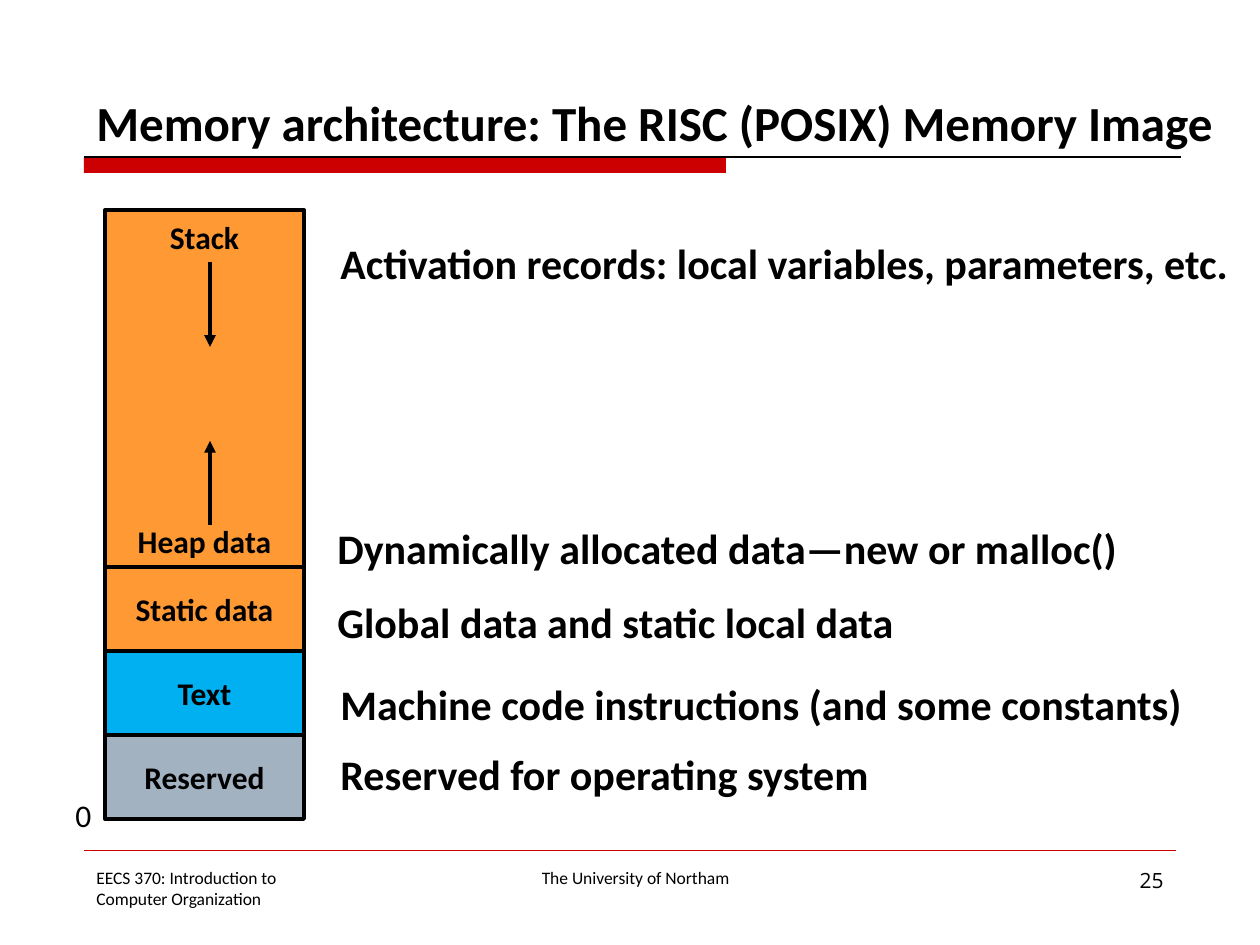
from dataclasses import dataclass

from lxml.etree import SubElement
from pptx import Presentation
from pptx.dml.color import RGBColor
from pptx.enum.shapes import MSO_CONNECTOR, MSO_SHAPE
from pptx.enum.text import MSO_ANCHOR, PP_ALIGN
from pptx.oxml.ns import qn
from pptx.util import Emu, Pt

SCALE = 914400 // 126


@dataclass
class Theme:
    black: str = "000000"
    red: str = "CC0000"
    orange: str = "FF9933"
    blue: str = "00B0F0"
    gray: str = "A3B2C1"
    font: str = "Calibri"
    number_font: str = "Open Sans"
    title: int = 28
    note: int = 24
    label: int = 18
    number: int = 12
    footer: int = 10


class Deck:
    def __init__(self, theme):
        self.theme = theme
        self.prs = Presentation()
        self.prs.slide_width, self.prs.slide_height = self.emu(1260, 945)
        self.s = self.prs.slides.add_slide(self.prs.slide_layouts[6])

    def emu(self, *pixels):
        return [Emu(v * SCALE) for v in pixels]

    def fill_text(self, sp, lines, size, bold=False, align=PP_ALIGN.LEFT,
                  anchor=MSO_ANCHOR.TOP, wrap=True, gap=0, font=None):
        tf = sp.text_frame
        tf.word_wrap, tf.vertical_anchor = wrap, anchor
        values = {"name": font or self.theme.font, "size": Pt(size), "bold": bold}
        for i, line in enumerate(lines):
            p = tf.add_paragraph() if i else tf.paragraphs[0]
            p.text, p.alignment = line, align
            if i:
                p.space_before = Pt(gap)
            for r in p.runs:
                for key, value in values.items():
                    setattr(r.font, key, value)
                r.font.color.rgb = RGBColor.from_string(self.theme.black)

    def text(self, box, line, size, **style):
        self.fill_text(self.s.shapes.add_textbox(*self.emu(*box)), [line], size, **style)

    def rect(self, box, fill, border=None):
        sp = self.s.shapes.add_shape(MSO_SHAPE.RECTANGLE, *self.emu(*box))
        sp.shadow.inherit = False
        sp.fill.solid()
        sp.fill.fore_color.rgb = RGBColor.from_string(fill)
        if border:
            sp.line.color.rgb = RGBColor.from_string(self.theme.black)
            sp.line.width = Pt(border)
        else:
            sp.line.fill.background()
        return sp

    def line(self, ends, color, width, arrow=False):
        cx = self.s.shapes.add_connector(MSO_CONNECTOR.STRAIGHT, *self.emu(*ends))
        cx.line.color.rgb = RGBColor.from_string(color)
        cx.line.width = Pt(width)
        props = cx.element.spPr
        if arrow:
            SubElement(props.find(qn("a:ln")), qn("a:tailEnd"), type="triangle")
        SubElement(props, qn("a:effectLst"))


t = Theme()
d = Deck(t)

# Title and rules
d.rect((84, 157, 642, 16), t.red)
d.line((84, 157, 1181, 157), t.black, 0.75)
d.line((84, 850, 1176, 850), t.red, 0.25)
d.text((84, 32, 1144, 126), "Memory architecture: The RISC (POSIX) Memory Image",
       t.title, bold=True, anchor=MSO_ANCHOR.BOTTOM)

# Memory segments, stacked from the top down
segments = [
    (357, t.orange, ["Stack", "Heap data"]),
    (84, t.orange, ["Static data"]),
    (84, t.blue, ["Text"]),
    (84, t.gray, ["Reserved"]),
]
top = 210
for height, fill, names in segments:
    sp = d.rect((105, top, 199, height), fill, 2.25)
    d.fill_text(sp, names, t.label, bold=True, align=PP_ALIGN.CENTER,
                anchor=MSO_ANCHOR.MIDDLE, wrap=False, gap=152)
    top += height

# Directions of growth
for start, end in [(262, 347), (525, 441)]:
    d.line((210, start, 210, end), t.black, 2.25, arrow=True)

# Explanations
notes = [
    (328, 231, 922, "Activation records: local variables, parameters, etc."),
    (325, 516, 835, "Dynamically allocated data—new or malloc()"),
    (325, 590, 587, "Global data and static local data"),
    (328, 672, 876, "Machine code instructions (and some constants)"),
    (328, 742, 559, "Reserved for operating system"),
]
for left, y, width, note in notes:
    d.text((left, y, width, 63), note, t.note, bold=True, wrap=False)
d.text((63, 790, 42, 55), "0", t.label, wrap=False)

# Footer
d.text((84, 861, 294, 66), "EECS 370: Introduction to \vComputer Organization", t.footer)
d.text((399, 861, 473, 34), "The University of Northam", t.footer, align=PP_ALIGN.CENTER)
d.text((966, 861, 210, 66), "25", t.number, align=PP_ALIGN.RIGHT, font=t.number_font)

d.prs.save("out.pptx")
